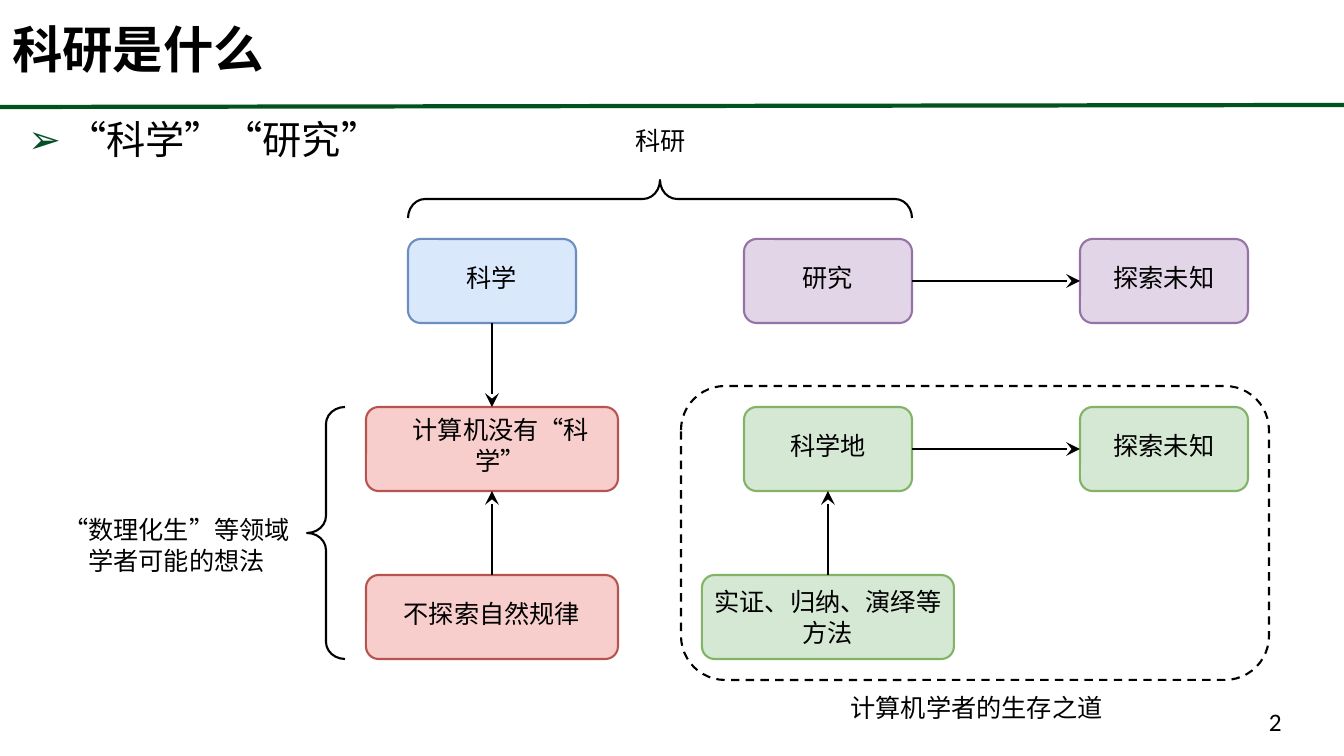
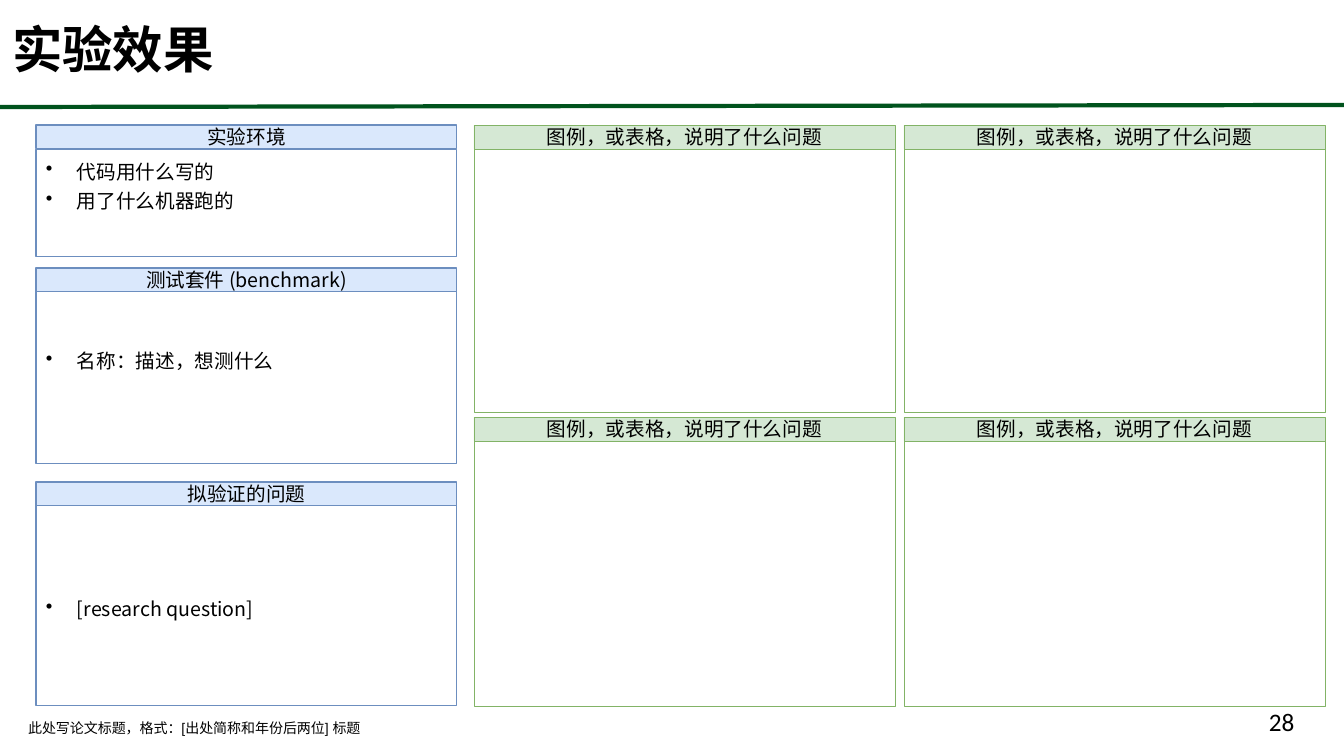
import itertools

import lxml.etree
import pptx
import pptx.dml.color
import pptx.enum.dml
import pptx.enum.shapes
import pptx.enum.text
import pptx.oxml.ns
import pptx.util

Pt = pptx.util.Pt
RGBColor = pptx.dml.color.RGBColor
SHAPE = pptx.enum.shapes.MSO_SHAPE
ALIGN = pptx.enum.text.PP_ALIGN
ANCHOR = pptx.enum.text.MSO_ANCHOR
qn = pptx.oxml.ns.qn

# Shared style
SLIDE_WIDTH, SLIDE_HEIGHT = 1344, 756
SCALE = 12192000 / SLIDE_WIDTH
LATIN, CJK, NUMBER = "Arial", "Noto Sans CJK SC", "Calibri"
BLACK = RGBColor(0x00, 0x00, 0x00)
RULE_GREEN = RGBColor(0x00, 0x53, 0x1D)
BULLET_GREEN = RGBColor(0x05, 0x4F, 0x26)
BLUE = (RGBColor(0xDA, 0xE8, 0xFC), RGBColor(0x6C, 0x8E, 0xBF))
PURPLE = (RGBColor(0xE1, 0xD5, 0xE7), RGBColor(0x96, 0x73, 0xA6))
RED = (RGBColor(0xF8, 0xCE, 0xCC), RGBColor(0xB8, 0x54, 0x50))
GREEN = (RGBColor(0xD5, 0xE8, 0xD4), RGBColor(0x82, 0xB3, 0x66))
OUTLINE = (None, BLACK)

# Concept map: name -> lines, column, row, width, colours, insets
NODES = {
    "science": (["科学"], 0, 0, 168, BLUE, (0, 0, 0, 8)),
    "research": (["研究"], 1, 0, 168, PURPLE, (0, 0, 0, 8)),
    "explore": (["探索未知"], 2, 0, 168, PURPLE, (0, 0, 0, 8)),
    "no science": (["计算机没有“科学”"], 0, 1, 252, RED, (18, 0, 0, 8)),
    "scientific": (["科学地"], 1, 1, 168, GREEN, (0, 0, 0, 8)),
    "explore too": (["探索未知"], 2, 1, 168, GREEN, (0, 0, 0, 8)),
    "no nature": (["不探索自然规律"], 0, 2, 252, RED, (0, 0, 0, 8)),
    "methods": (["实证、归纳、演绎等", "方法"], 1, 2, 252, GREEN, (0, 0, 0, 0)),
}
TOP, LEFT, BOTTOM, RIGHT = range(4)
ARROWS = [
    ("science", BOTTOM, "no science", TOP),
    ("research", RIGHT, "explore", LEFT),
    ("no nature", TOP, "no science", BOTTOM),
    ("scientific", RIGHT, "explore too", LEFT),
    ("methods", TOP, "scientific", BOTTOM),
]
LABELS = [
    (["科研"], (625, 120, 72, 40)),
    (["“数理化生”等领域", "学者可能的想法"], (52, 509, 249, 72)),
    (["计算机学者的生存之道"], (839, 687, 275, 40)),
]
BRACES = [((307, 407, 38, 252), 0), ((641, -53, 38, 504), 90)]
SURVIVAL_BOX = (681, 386, 588, 294)

# Experiment panels: heading, bullets, top, bottom, space kept below bullets
SETUP_PANELS = [
    ("实验环境", ["代码用什么写的", "用了什么机器跑的"], 125, 257, 40),
    ("测试套件 (benchmark)", ["名称：描述，想测什么"], 268, 464, 40),
    ("拟验证的问题", ["[research question]"], 482, 706, 0),
]
RESULT_HEADING = "图例，或表格，说明了什么问题"
RESULT_COLUMNS = (474, 904)
RESULT_ROWS = ((125, 413), (417, 706))
PANEL_LEFT, PANEL_WIDTH, HEADING_HEIGHT = 36, 421, 24


def px(length):
    return pptx.util.Emu(round(length * SCALE))


def place(shape, box):
    shape.left, shape.top, shape.width, shape.height = map(px, box)


def add_run(paragraph, text, size, font=CJK, bold=False):
    run = paragraph.add_run()
    run.text = text
    run.font.size = Pt(size)
    run.font.bold = bold
    run.font.color.rgb = BLACK
    run.font.name = font
    east_asian = lxml.etree.Element(qn("a:ea"), typeface=CJK)
    run.font._element.find(qn("a:latin")).addnext(east_asian)


def set_bullet(paragraph, character, indent, color=None):
    """Give the paragraph a bullet, or none when character is empty."""
    properties = paragraph._p.get_or_add_pPr()
    properties.set("marL", str(px(indent)))
    properties.set("indent", str(-px(indent)))
    if color:
        holder = lxml.etree.SubElement(properties, qn("a:buClr"))
        lxml.etree.SubElement(holder, qn("a:srgbClr"), val=str(color))
    if character:
        lxml.etree.SubElement(properties, qn("a:buChar"), char=character)
    else:
        lxml.etree.SubElement(properties, qn("a:buNone"))


def write(shape, lines, size, font=CJK, align=ALIGN.CENTER, anchor=ANCHOR.MIDDLE,
          insets=None, bullet=None, spacing=None, bold=False, wrap=True):
    frame = shape.text_frame
    frame.auto_size = pptx.enum.text.MSO_AUTO_SIZE.NONE
    frame.word_wrap = wrap
    frame.vertical_anchor = anchor
    if insets:
        (frame.margin_left, frame.margin_top,
         frame.margin_right, frame.margin_bottom) = map(px, insets)
    for index, line in enumerate(lines):
        paragraph = frame.paragraphs[0] if index == 0 else frame.add_paragraph()
        if bullet:
            set_bullet(paragraph, *bullet)
        paragraph.alignment = align
        paragraph.space_before = Pt(0)
        if spacing:
            paragraph.line_spacing = spacing
        for quoted, characters in itertools.groupby(line, key=lambda c: c in "“”"):
            add_run(paragraph, "".join(characters), size, LATIN if quoted else font, bold)


def add_shape(slide, kind, box, colors, line_width):
    fill, line = colors
    shape = slide.shapes.add_shape(kind, *map(px, box))
    shape.shadow.inherit = False
    if fill is None:
        shape.fill.background()
    else:
        shape.fill.solid()
        shape.fill.fore_color.rgb = fill
    shape.line.color.rgb = line
    shape.line.width = Pt(line_width)
    return shape


def add_line(slide, start, end, color, width):
    line = slide.shapes.add_connector(
        pptx.enum.shapes.MSO_CONNECTOR.STRAIGHT, *map(px, start + end))
    line.line.color.rgb = color
    line.line.width = Pt(width)
    lxml.etree.SubElement(line._element.spPr, qn("a:effectLst"))
    return line


def add_text(slide, lines, box, size, **style):
    text_box = slide.shapes.add_textbox(*map(px, box))
    write(text_box, lines, size, **style)


def add_page(presentation, title, number):
    """Add a slide with the common rule, title and page number."""
    slide = presentation.slides.add_slide(presentation.slide_layouts[1])
    add_line(slide, (0, 107), (SLIDE_WIDTH, 105), RULE_GREEN, 3)
    place(slide.shapes.title, (2, 2, 1139, 101))
    write(slide.shapes.title, [title], 36, font=LATIN, align=ALIGN.LEFT,
          spacing=0.9, bold=True)
    add_text(slide, [number], (1259, 701, 64, 40), 18, font=NUMBER,
             align=ALIGN.LEFT, anchor=ANCHOR.TOP)
    return slide


def add_concept_map(slide):
    body = slide.placeholders[1]
    place(body, (18, 116, 1304, 585))
    write(body, ["“科学”“研究”"], 28, font=LATIN, align=ALIGN.LEFT,
          anchor=ANCHOR.TOP, bullet=("➢", 39, BULLET_GREEN), spacing=0.9)

    # Nodes on a regular grid
    nodes = {}
    for name, (lines, column, row, width, colors, insets) in NODES.items():
        box = (492 + 336 * column - width / 2, 239 + 168 * row, width, 84)
        node = add_shape(slide, SHAPE.ROUNDED_RECTANGLE, box, colors, 1.5)
        node.adjustments[0] = 0.15
        write(node, lines, 18, insets=insets)
        nodes[name] = node

    # Arrows
    for source, source_side, target, target_side in ARROWS:
        arrow = add_line(slide, (0, 0), (0, 0), BLACK, 1.5)
        arrow.begin_connect(nodes[source], source_side)
        arrow.end_connect(nodes[target], target_side)
        lxml.etree.SubElement(arrow.line._get_or_add_ln(), qn("a:tailEnd"),
                              type="stealth", w="lg", len="lg")

    # Braces, dashed frame and labels
    for box, rotation in BRACES:
        brace = add_shape(slide, SHAPE.LEFT_BRACE, box, OUTLINE, 1.5)
        brace.adjustments[0] = 0.45
        brace.rotation = rotation
    frame = add_shape(slide, SHAPE.ROUNDED_RECTANGLE, SURVIVAL_BOX, OUTLINE, 1.5)
    frame.adjustments[0] = 0.15
    frame.line.dash_style = pptx.enum.dml.MSO_LINE.DASH
    for lines, box in LABELS:
        add_text(slide, lines, box, 18, wrap=False)


def add_panel(slide, heading, left, top, bottom, colors, line_width):
    """Add a headed panel and return its empty lower part."""
    split = top + HEADING_HEIGHT
    header = add_shape(slide, SHAPE.RECTANGLE,
                       (left, top, PANEL_WIDTH, HEADING_HEIGHT), colors, line_width)
    write(header, [heading], 14, insets=(0, 0, 0, 0))
    return add_shape(slide, SHAPE.RECTANGLE, (left, split, PANEL_WIDTH, bottom - split),
                     (None, colors[1]), line_width)


def add_experiment(slide):
    source = slide.placeholders[1]
    place(source, (18, 701, 1241, 40))
    write(source, ["此处写论文标题，格式：[出处简称和年份后两位] 标题"], 10, font=LATIN,
          align=ALIGN.LEFT, anchor=ANCHOR.BOTTOM, bullet=("", 0))

    for heading, bullets, top, bottom, space_below in SETUP_PANELS:
        panel = add_panel(slide, heading, PANEL_LEFT, top, bottom, BLUE, 0.75)
        write(panel, bullets, 14, align=ALIGN.LEFT, insets=(10, 0, 10, space_below),
              bullet=("•", 31), spacing=1.25)
    for left, (top, bottom) in itertools.product(RESULT_COLUMNS, RESULT_ROWS):
        add_panel(slide, RESULT_HEADING, left, top, bottom, GREEN, 0.63)


def main():
    presentation = pptx.Presentation()
    presentation.slide_width = px(SLIDE_WIDTH)
    presentation.slide_height = px(SLIDE_HEIGHT)
    add_concept_map(add_page(presentation, "科研是什么", "2"))
    add_experiment(add_page(presentation, "实验效果", "28"))
    presentation.save("out.pptx")


if __name__ == "__main__":
    main()
